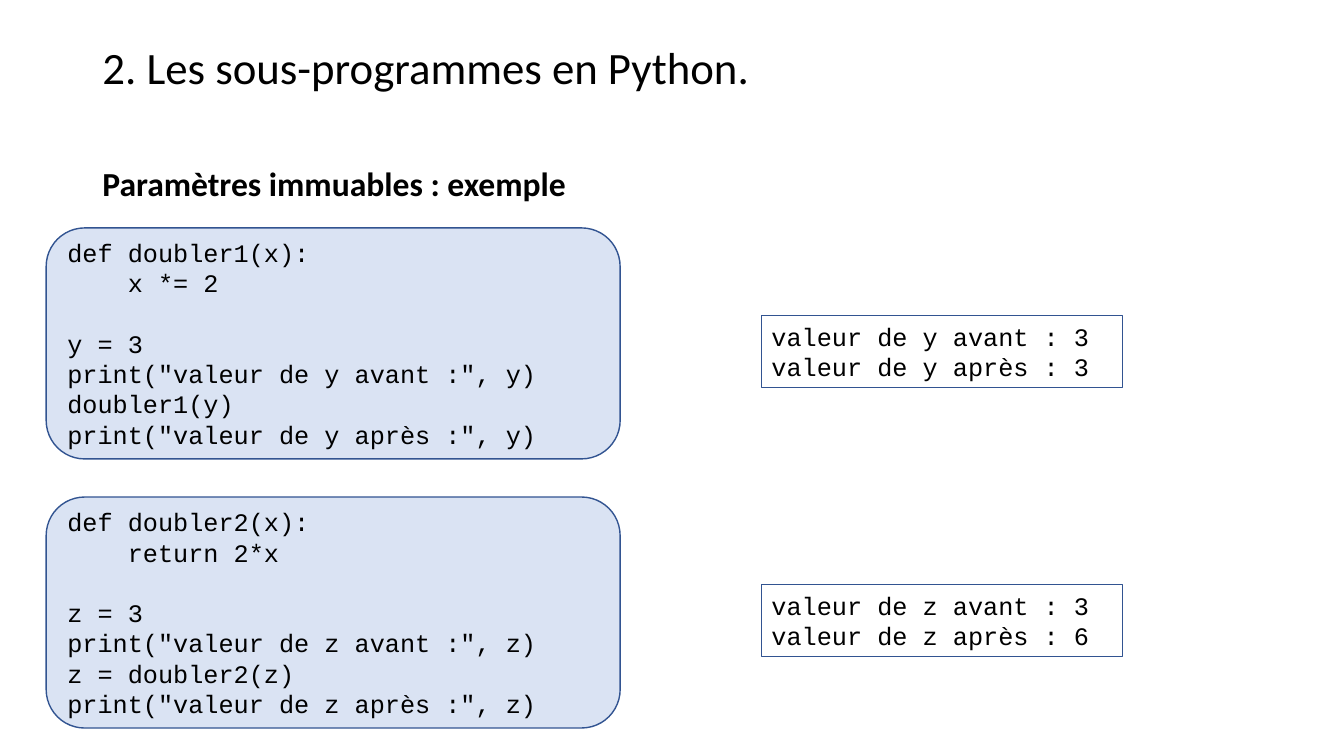
from pptx import Presentation
from pptx.dml.color import RGBColor
from pptx.enum.shapes import MSO_SHAPE
from pptx.enum.text import MSO_ANCHOR, PP_ALIGN
from pptx.util import Pt

CODE = """def doubler1(x):
    x *= 2

y = 3
print("valeur de y avant :", y)
doubler1(y)
print("valeur de y après :", y)"""

RETURN = """def doubler2(x):
    return 2*x

z = 3
print("valeur de z avant :", z)
z = doubler2(z)
print("valeur de z après :", z)"""


def color(value):
    return RGBColor.from_string(value)


def write(shape, text, size, font, bold=False, anchor=MSO_ANCHOR.TOP):
    frame = shape.text_frame
    frame.text = text
    frame.word_wrap = True
    frame.vertical_anchor = anchor
    for para in frame.paragraphs:
        para.alignment = PP_ALIGN.LEFT
        for style in [para.font] + [run.font for run in para.runs]:
            style.name = font
            style.size = Pt(size)
            style.bold = bold
            style.color.rgb = color("000000")


def place(shape, left, top, width, height):
    shape.left, shape.top = Pt(left), Pt(top)
    shape.width, shape.height = Pt(width), Pt(height)


def add_title(slide, text):
    title = slide.shapes.title
    place(title, 66, 28.8, 828, 45)
    write(title, text, 32, "Calibri")
    title.text_frame.paragraphs[0].line_spacing = 0.9


def add_heading(slide, text):
    box = slide.shapes.add_textbox(Pt(66), Pt(113), Pt(828), Pt(36))
    write(box, text, 24, "Calibri", bold=True)


def add_panel(slide, kind, left, top, width, height, text, line, fill=None):
    panel = slide.shapes.add_shape(kind, Pt(left), Pt(top), Pt(width), Pt(height))
    panel.shadow.inherit = False
    if fill:
        panel.fill.solid()
        panel.fill.fore_color.rgb = color(fill)
    else:
        panel.fill.background()
    panel.line.color.rgb = color("325491")
    panel.line.width = Pt(line)
    anchor = MSO_ANCHOR.MIDDLE if fill else MSO_ANCHOR.TOP
    write(panel, text, 18, "Courier New", anchor=anchor)


def add_example(slide, top, code, output):
    add_panel(slide, MSO_SHAPE.ROUNDED_RECTANGLE, 33, top, 410, 165, code, 1, "DAE3F3")
    add_panel(slide, MSO_SHAPE.RECTANGLE, 544, top + 62.8, 258, 51, output, 0.75)


def main():
    deck = Presentation()
    deck.slide_width, deck.slide_height = Pt(960), Pt(540)
    slide = deck.slides.add_slide(deck.slide_layouts[5])
    add_title(slide, "2. Les sous-programmes en Python.")
    add_heading(slide, "Paramètres immuables : exemple")
    add_example(slide, 162.8, CODE, "valeur de y avant : 3\nvaleur de y après : 3")
    add_example(slide, 355, RETURN, "valeur de z avant : 3\nvaleur de z après : 6")
    deck.save("out.pptx")


if __name__ == "__main__":
    main()
